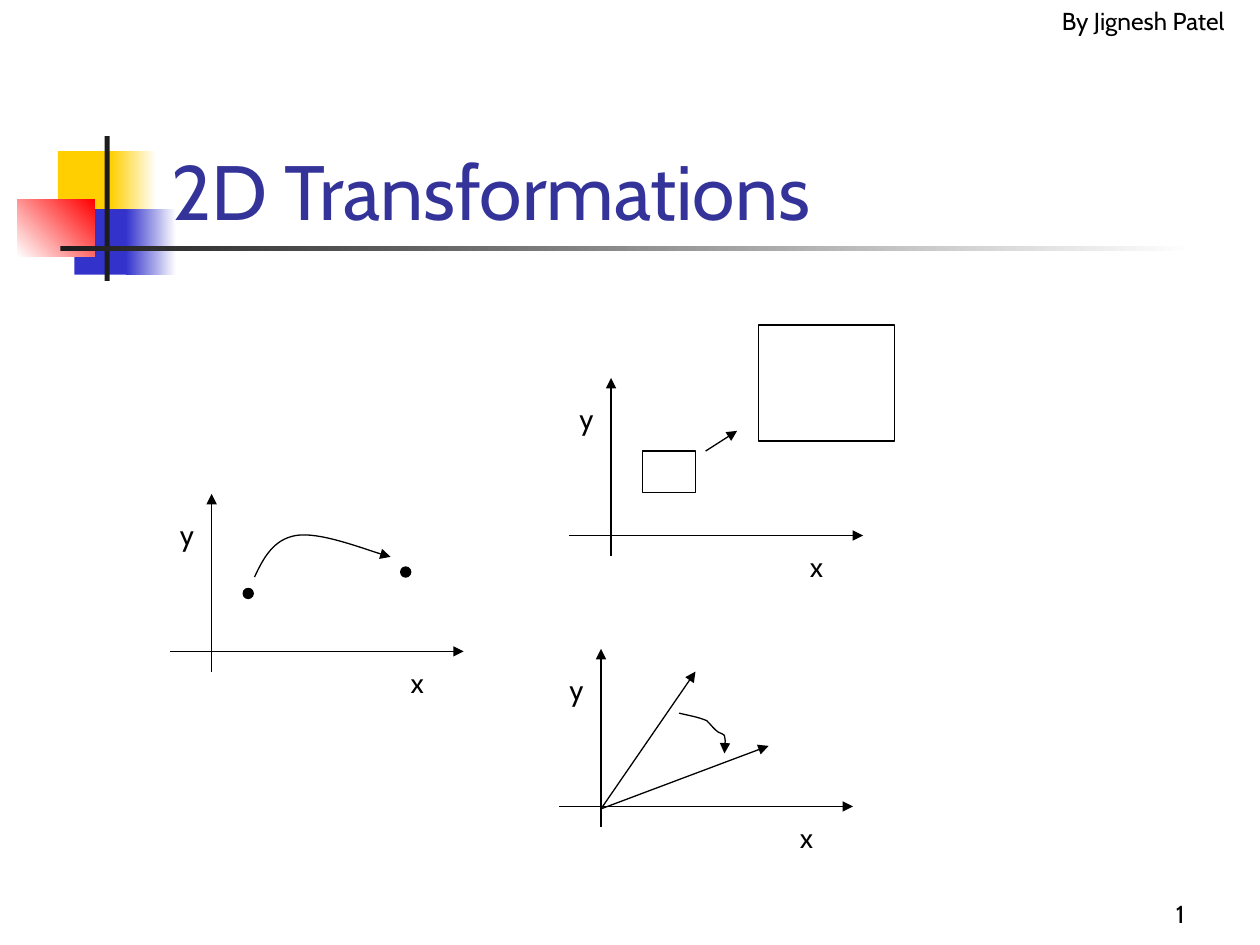
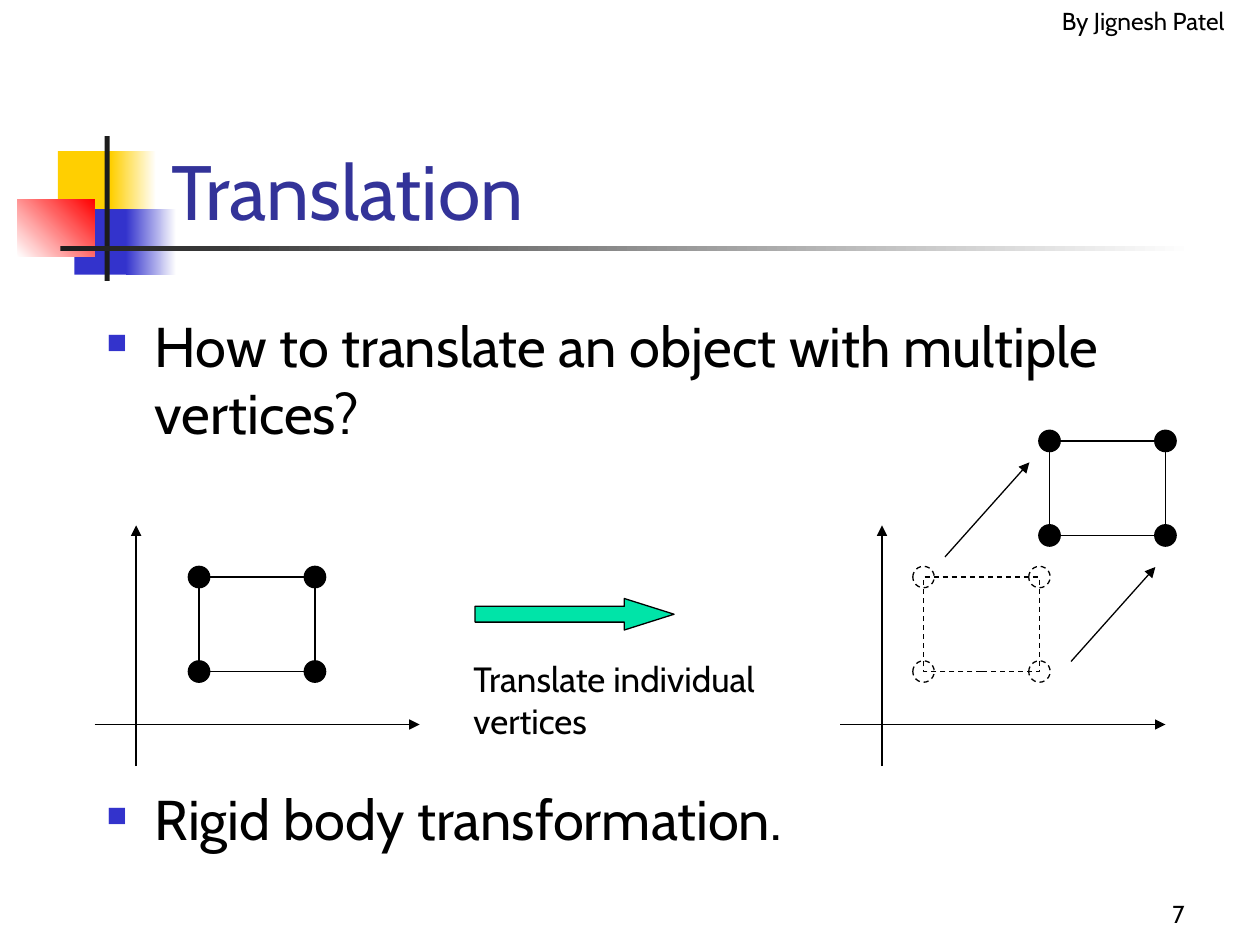
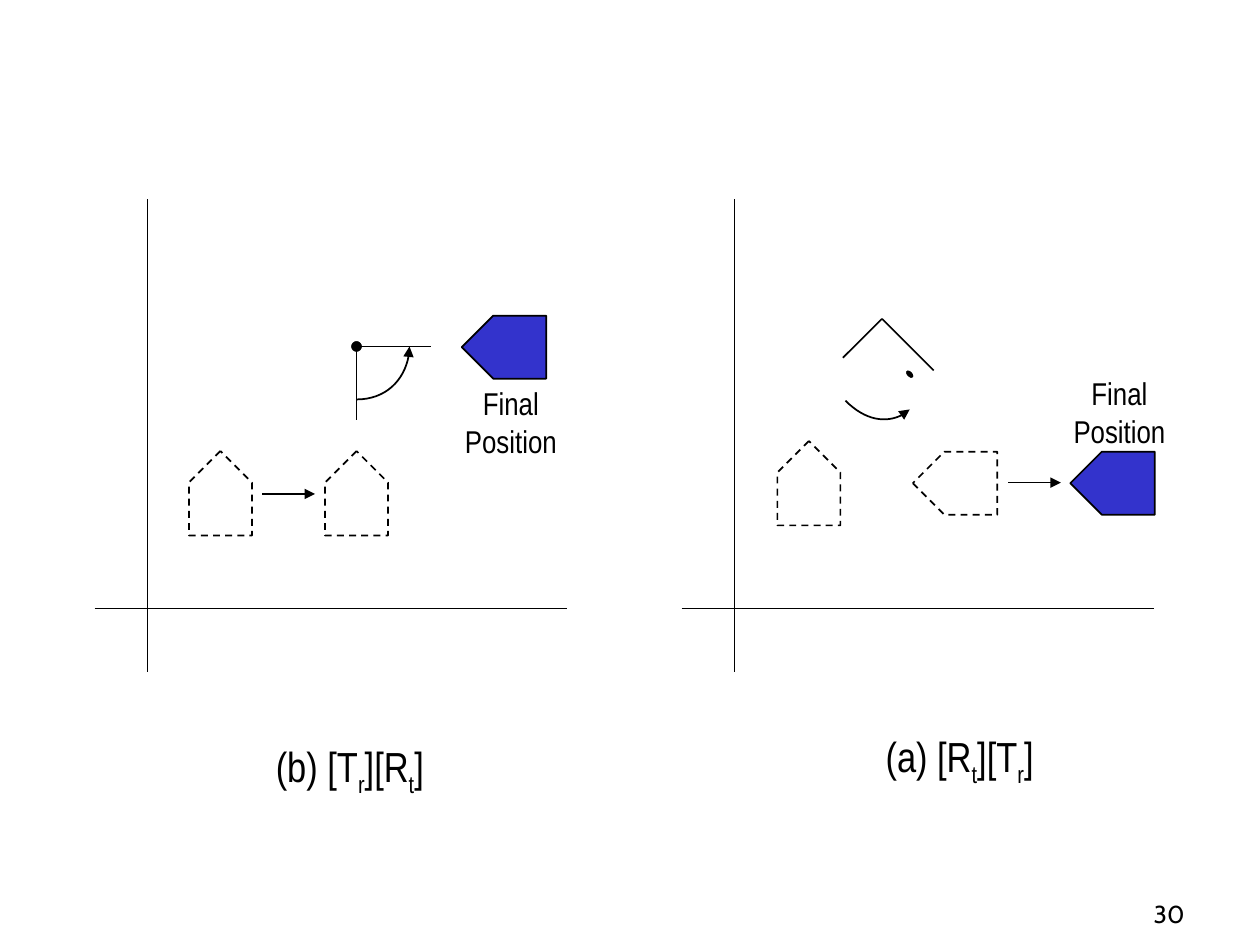
from itertools import product

from lxml.etree import SubElement
from pptx import Presentation
from pptx.dml.color import RGBColor
from pptx.enum.dml import MSO_LINE
from pptx.enum.shapes import MSO_CONNECTOR, MSO_SHAPE
from pptx.enum.text import MSO_ANCHOR, MSO_AUTO_SIZE, PP_ALIGN
from pptx.oxml.ns import qn
from pptx.util import Inches, Pt

BLACK, WHITE = "000000", "FFFFFF"
YELLOW, BLUE, RED, INK = "FFCF01", "3333CC", "FF0000", "1C1C1C"
TITLE_BLUE, GREEN = "333399", "00E4A8"
FONT, NARROW = "Cabin", "Arial Narrow"
BADGE = [
    (0.46, 1.2, 0.48, 0.52, YELLOW),
    (0.88, 1.2, 0.36, 0.52, (YELLOW, WHITE, 0)),
    (0.59, 1.66, 0.46, 0.52, BLUE),
    (1, 1.66, 0.4, 0.52, (BLUE, WHITE, 0)),
    (0.14, 1.58, 0.61, 0.46, (WHITE, RED, 45)),
    (0.83, 1.08, 0.04, 1.15, INK),
    (0.48, 1.95, 9, 0.04, (INK, WHITE, 0)),
]


def rgb(color):
    """Turn a hex string into a colour."""
    return RGBColor.from_string(color)


def write(paragraph, text, size=16, font=FONT, color=BLACK):
    """Add text to a paragraph; a letter after an underscore is a subscript."""
    first, *others = text.split("_")
    spans = [(first, False)]
    for part in others:
        spans += [(part[0], True), (part[1:], False)]
    for words, lowered in spans:
        span = paragraph.add_run()
        span.text = words
        span.font.size, span.font.name = Pt(size), font
        span.font.color.rgb = rgb(color)
        if lowered:
            span.font._element.set("baseline", "-25000")


def add_bullet(paragraph):
    """Give a paragraph a hanging square bullet."""
    properties = paragraph._p.get_or_add_pPr()
    properties.set("marL", str(Inches(0.38)))
    properties.set("indent", str(-Inches(0.38)))
    color = SubElement(properties, qn("a:buClr"))
    SubElement(color, qn("a:srgbClr"), val=BLUE)
    SubElement(properties, qn("a:buSzPct"), val="60000")
    SubElement(properties, qn("a:buFont"), typeface=NARROW)
    SubElement(properties, qn("a:buChar"), char="■")


class Sketch:
    """Hold the deck style and draw on the current slide."""

    def __init__(self):
        """Start an empty deck."""
        self.deck = Presentation()
        self.deck.slide_width, self.deck.slide_height = Inches(10), Inches(7.5)
        self.weight = 0.75

    def new_page(self, number, title=None, weight=0.75):
        """Start a slide with its number and, if titled, the shared header."""
        self.page = self.deck.slides.add_slide(self.deck.slide_layouts[6])
        self.weight = weight
        if title:
            for *place, fill in BADGE:
                self.shape(*place, fill=fill, line=None)
            self.text(8.33, 0, 1.67, 0.5, ["By Jignesh Patel"], size=14)
            self.text(1.26, 0.67, 8.52, 1.25, [title], size=44,
                      color=TITLE_BLUE, anchor=MSO_ANCHOR.BOTTOM)
        self.text(7.42, 6.92, 2.08, 0.5, [str(number)], size=14,
                  align=PP_ALIGN.RIGHT, anchor=MSO_ANCHOR.BOTTOM)

    def text(self, left, top, width, height, lines, align=PP_ALIGN.LEFT,
             anchor=MSO_ANCHOR.TOP, wrap=True, bullets=False, gap=0, **style):
        """Add a text box with one paragraph per line."""
        box = self.page.shapes.add_textbox(*map(Inches, (left, top, width, height)))
        frame = box.text_frame
        frame.word_wrap, frame.vertical_anchor = wrap, anchor
        if not wrap:
            frame.auto_size = MSO_AUTO_SIZE.SHAPE_TO_FIT_TEXT
        for index, line in enumerate(lines):
            para = frame.add_paragraph() if index else frame.paragraphs[0]
            para.alignment = align
            if bullets:
                add_bullet(para)
            if index and gap:
                para.space_before = Pt(gap)
            write(para, line, **style)

    def label(self, left, top, width, height, lines, **style):
        """Add a text box that fits its unwrapped text."""
        self.text(left, top, width, height, lines, wrap=False, **style)

    def stroke(self, item, color=BLACK, weight=None, dashed=False, arrow=False):
        """Set the outline of a shape or connector."""
        item.line.color.rgb = rgb(color)
        item.line.width = Pt(weight or self.weight)
        if dashed:
            item.line.dash_style = MSO_LINE.DASH
        if arrow:
            outline = item.element.find(".//" + qn("a:ln"))
            SubElement(outline, qn("a:tailEnd"), type="triangle")

    def paint(self, shape, fill=None, line=BLACK, **stroke):
        """Set fill and outline; a fill of two colours and an angle is a gradient."""
        shape.shadow.inherit = False
        if fill is None:
            shape.fill.background()
        elif isinstance(fill, str):
            shape.fill.solid()
            shape.fill.fore_color.rgb = rgb(fill)
        else:
            *colors, angle = fill
            shape.fill.gradient()
            shape.fill.gradient_angle = angle
            for position, (stop, color) in enumerate(zip(shape.fill.gradient_stops, colors)):
                stop.position, stop.color.rgb = position, rgb(color)
        if line:
            self.stroke(shape, line, **stroke)
        else:
            shape.line.fill.background()

    def shape(self, left, top, width, height, kind=MSO_SHAPE.RECTANGLE, **style):
        """Add a preset shape."""
        shape = self.page.shapes.add_shape(kind, *map(Inches, (left, top, width, height)))
        self.paint(shape, **style)
        return shape

    def dot(self, x, y, width, height=None, **style):
        """Add an ellipse centred on a point."""
        height = height or width
        return self.shape(x - width / 2, y - height / 2, width, height,
                          MSO_SHAPE.OVAL, **style)

    def line(self, x1, y1, x2, y2, arrow=False):
        """Add a straight line or arrow."""
        line = self.page.shapes.add_connector(
            MSO_CONNECTOR.STRAIGHT, *map(Inches, (x1, y1, x2, y2)))
        self.stroke(line, arrow=arrow)
        SubElement(line.element.spPr, qn("a:effectLst"))

    def outline(self, points, close, **style):
        """Add a freeform through the points."""
        start, *rest = [(Inches(x), Inches(y)) for x, y in points]
        builder = self.page.shapes.build_freeform(*start)
        builder.add_line_segments(rest, close=close)
        shape = builder.convert_to_shape()
        self.paint(shape, **style)
        return shape

    def curve(self, *points):
        """Add a curved arrow: a start, then three Bezier points a segment."""
        shape = self.outline(points, close=False, arrow=True)
        steps = list(shape.element.iter(qn("a:lnTo")))
        for first in range(0, len(steps), 3):
            parent = steps[first].getparent()
            bend = SubElement(parent, qn("a:cubicBezTo"))
            for step in steps[first:first + 3]:
                bend.append(step[0])
                parent.remove(step)

    def axes(self, x, y, left, right, below, above, arrow=True):
        """Add a pair of axes that cross at a point."""
        self.line(x - left, y, x + right, y, arrow)
        self.line(x, y + below, x, y - above, arrow)

    def named_axes(self, x, y):
        """Add small axes with their names."""
        self.axes(x, y, 0.33, 2, 0.16, 1.25)
        self.label(x + 1.48, y + 0.06, 0.31, 0.37, ["x"])
        self.label(x - 0.35, y - 1.11, 0.31, 0.37, ["y"])

    def square(self, left, top, fill=None, dashed=False):
        """Add a rectangle with a dot on each vertex."""
        width, height = 0.92, 0.75
        self.shape(left, top, width, height, dashed=dashed)
        for x, y in product((left, left + width), (top, top + height)):
            self.dot(x, y, 0.17, fill=fill, dashed=dashed)

    def house(self, left, top, turned=False, fill=None):
        """Add a house, dashed unless filled, upright or turned to the left."""
        corners = [(0.25, 0), (0, 0.25), (0, 0.67), (0.5, 0.67), (0.5, 0.25)]
        shape = self.outline([(left + x, top + y) for x, y in corners],
                             close=True, fill=fill, dashed=fill is None)
        shape.rotation = 270 if turned else 0


def draw_overview(sketch):
    """Draw the slide that shows moving, scaling and rotating."""
    sketch.new_page(1, "2D Transformations")
    sketch.named_axes(1.68, 5.17)
    sketch.dot(1.97, 4.71, 0.08, fill=BLACK)
    sketch.dot(3.22, 4.54, 0.08, fill=BLACK)
    sketch.curve((2.02, 4.58), (2.09, 4.43), (2.17, 4.28), (2.35, 4.25),
                 (2.53, 4.22), (2.98, 4.39), (3.1, 4.42))

    sketch.named_axes(4.85, 4.25)
    sketch.shape(5.1, 3.58, 0.42, 0.33)
    sketch.shape(6.02, 2.58, 1.08, 0.92)
    sketch.line(5.6, 3.58, 5.85, 3.42, arrow=True)

    sketch.named_axes(4.77, 6.4)
    for tip in ((5.52, 5.33), (6.1, 5.92)):
        sketch.line(4.77, 6.42, *tip, arrow=True)
    sketch.curve((5.39, 5.66), (5.47, 5.68), (5.54, 5.69), (5.61, 5.72),
                 (5.64, 5.75), (5.67, 5.79), (5.7, 5.81),
                 (5.72, 5.82), (5.75, 5.83), (5.75, 5.84),
                 (5.76, 5.89), (5.75, 5.94), (5.75, 5.98))


def draw_translation(sketch):
    """Draw the slide that moves a square by its vertices."""
    sketch.new_page(7, "Translation")
    sketch.text(0.75, 2.42, 8.5, 4.5,
                ["How to translate an object with multiple vertices?",
                 "Rigid body transformation."], size=32, bullets=True, gap=193.5)
    for x in (1.08, 7):
        sketch.axes(x, 5.75, 0.33, 2.25, 0.33, 1.58)
    sketch.square(1.58, 4.58, fill=BLACK)
    arrow = sketch.shape(3.77, 4.75, 1.58, 0.25, MSO_SHAPE.RIGHT_ARROW, fill=GREEN)
    arrow.adjustments[1] = 1.58
    sketch.label(3.66, 5.17, 2.76, 0.77, ["Translate individual", "vertices"], size=20)
    sketch.square(8.33, 3.5, fill=BLACK)
    sketch.square(7.33, 4.58, dashed=True)
    for x, y in ((7.5, 4.42), (8.5, 5.25)):
        sketch.line(x, y, x + 0.67, y - 0.75, arrow=True)


def draw_order(sketch):
    """Draw the slide that compares the two orders of transformation."""
    sketch.new_page(30, weight=1)
    pivot = {"fill": BLACK, "line": WHITE, "weight": 6}
    sketch.dot(2.83, 2.75, 0.17, **pivot)
    for x in (1.17, 5.83):
        sketch.axes(x, 4.83, 0.42, 3.33, 0.5, 3.25, arrow=False)
    for left, top in ((1.5, 3.58), (2.58, 3.58), (6.17, 3.5)):
        sketch.house(left, top)
    sketch.house(7.33, 3.5, turned=True)
    for left, top in ((3.75, 2.42), (8.58, 3.5)):
        sketch.house(left, top, turned=True, fill=BLUE)
    for x, y in ((2.08, 3.92), (8, 3.83)):
        sketch.line(x, y, x + 0.42, y, arrow=True)

    sketch.line(2.83, 2.75, 3.42, 2.75)
    sketch.line(2.83, 3.33, 2.83, 2.75)
    sketch.curve((2.83, 3.17), (3.06, 3.17), (3.25, 2.98), (3.25, 2.75))

    sketch.dot(7.22, 2.97, 0.16, 0.13, **pivot).rotation = 45
    sketch.line(7, 2.53, 7.41, 2.94)
    sketch.line(6.69, 2.84, 7, 2.53)
    sketch.curve((6.71, 3.18), (6.87, 3.34), (7.1, 3.37), (7.22, 3.25))

    for left, top in ((3.59, 3), (8.42, 2.92)):
        sketch.label(left, top, 0.93, 0.7, ["Final", "Position"], size=18,
                     font=NARROW, align=PP_ALIGN.CENTER)
    for left, top, words in ((6.93, 5.75, "(a) [R_t][T_r]"), (2.09, 5.83, "(b) [T_r][R_t]")):
        sketch.label(left, top, 1.45, 0.56, [words], size=24, font=NARROW)


def main():
    """Build the deck and save it."""
    sketch = Sketch()
    draw_overview(sketch)
    draw_translation(sketch)
    draw_order(sketch)
    sketch.deck.save("out.pptx")


if __name__ == "__main__":
    main()
